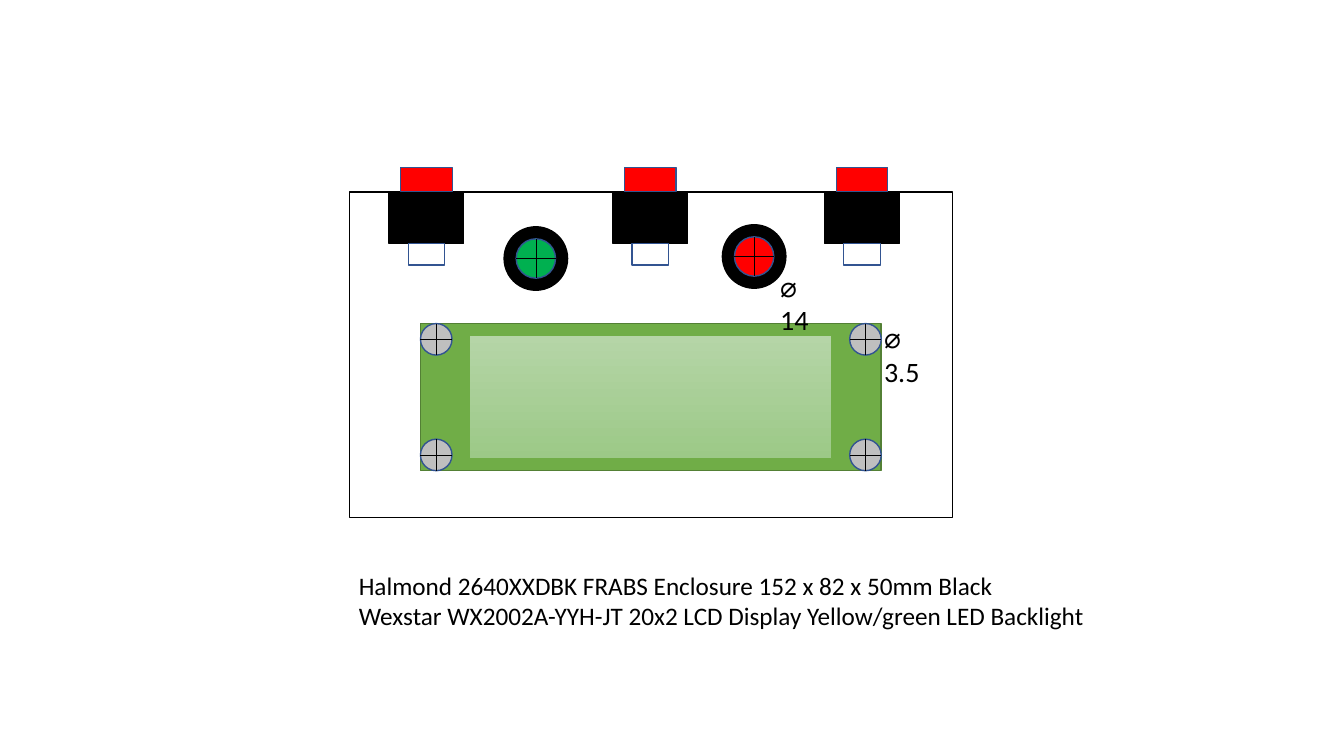
from pptx import Presentation
from pptx.dml.color import RGBColor
from pptx.enum.shapes import MSO_CONNECTOR, MSO_SHAPE
from pptx.oxml.ns import qn
from pptx.util import Inches, Pt
from lxml.etree import SubElement

BLACK = RGBColor(0x00, 0x00, 0x00)
RED = RGBColor(0xFF, 0x00, 0x00)
GREEN = RGBColor(0x00, 0xB0, 0x50)
GREY = RGBColor(0xBF, 0xBF, 0xBF)
OUTLINE = RGBColor(0x32, 0x54, 0x91)
BOARD = RGBColor(0x70, 0xAD, 0x47)
BOARD_EDGE = RGBColor(0x53, 0x80, 0x35)
GLASS_TOP = RGBColor(0xB5, 0xD5, 0xA7)
GLASS_BOTTOM = RGBColor(0x9C, 0xC9, 0x87)
RECT, OVAL = MSO_SHAPE.RECTANGLE, MSO_SHAPE.OVAL

# The slide is a grid of 133.3 columns by 75 rows.
COLS, ROWS = 133.3, 75
CELL = Inches(0.1)
SCREW = 3.13


def grid(*cells):
    return [round(c * CELL) for c in cells]


def add_part(shapes, kind, box, fill=None, line=BLACK, width=1):
    sp = shapes.add_shape(kind, *grid(*box))
    sp.shadow.inherit = False
    if fill is None:
        sp.fill.background()
    else:
        sp.fill.solid()
        sp.fill.fore_color.rgb = fill
    sp.line.color.rgb = line
    sp.line.width = Pt(width)
    return sp


def add_text(shapes, box, *lines, size=18, color=BLACK, font="Calibri"):
    tf = shapes.add_textbox(*grid(*box)).text_frame
    tf.word_wrap = True
    for i, line in enumerate(lines):
        p = tf.paragraphs[0] if i == 0 else tf.add_paragraph()
        r = p.add_run()
        r.text = line
        r.font.size = Pt(size)
        r.font.name = font
        r.font.color.rgb = color


def add_target(shapes, x, y, size, fill):
    """Disc with a crosshair marking a drill centre."""
    add_part(shapes, OVAL, (x, y, size, size), fill, OUTLINE)
    mid_x, mid_y = x + size / 2, y + size / 2
    for ends in ((mid_x, y, mid_x, y + size), (x, mid_y, x + size, mid_y)):
        hair = shapes.add_connector(MSO_CONNECTOR.STRAIGHT, *grid(*ends))
        hair.line.color.rgb = BLACK
        hair.line.width = Pt(0.5)
        SubElement(hair._element.spPr, qn("a:effectLst"))


def add_lamp(s, x, y, size, color):
    shapes = s.shapes.add_group_shape().shapes
    add_part(shapes, OVAL, (x, y, size, size), BLACK)
    inner = size * 0.62
    inset = (size - inner) / 2
    add_target(shapes, x + inset, y + inset, inner, color)


def add_button(s, x, y, w, h):
    """Push button: cap over a black body over a terminal."""
    shapes = s.shapes.add_group_shape().shapes
    cap_h, body_h, foot_h = h * 0.25, h * 0.53, h * 0.22
    for part_y, part_w, part_h, fill, line in (
            (y + cap_h, w, body_h, BLACK, BLACK),
            (y + cap_h + body_h, w * 0.49, foot_h, None, OUTLINE),
            (y, w * 0.69, cap_h, RED, OUTLINE)):
        add_part(shapes, RECT, (x + (w - part_w) / 2, part_y, part_w, part_h), fill, line)


def add_display(s, x, y, w, h):
    """LCD board with its glass and a screw in each corner."""
    shapes = s.shapes.add_group_shape().shapes
    add_part(shapes, RECT, (x, y, w, h), BOARD, BOARD_EDGE)
    glass = add_part(shapes, RECT, (x + 4.9, y + 1.2, w - 9.8, h - 2.4), BOARD, BOARD, 0.5)
    glass.fill.gradient()
    glass.fill.gradient_angle = 270
    for stop, color in zip(glass.fill.gradient_stops, (GLASS_TOP, GLASS_BOTTOM)):
        stop.color.rgb = color
    for screw_x in (x, x + w - SCREW):
        for screw_y in (y, y + h - SCREW):
            add_target(s.shapes.add_group_shape().shapes, screw_x, screw_y, SCREW, GREY)


def add_enclosure(s, x, y, w, h):
    add_part(s.shapes, RECT, (x, y, w, h))
    for dx, dy, color in ((15.35, 3.45, GREEN), (37, 3.25, RED)):
        add_lamp(s, x + dx, y + dy, 6.3, color)
    for dx in (3.95, 26.15, 47.15):
        add_button(s, x + dx, y - 2.45, 7.4, 9.7)
    add_display(s, x + 7.05, y + 13.05, 45.7, 14.6)
    add_text(s.shapes, (x + 52.05, y + 12.25, 7, 7.7), "⌀ 3.5", size=20)
    add_text(s.shapes, (x + 41.75, y + 7.15, 6.3, 7.7), "⌀ 14", size=20)


def main():
    prs = Presentation()
    prs.slide_width, prs.slide_height = grid(COLS, ROWS)
    s = prs.slides.add_slide(prs.slide_layouts[6])
    add_enclosure(s, 34.65, 19.05, 59.8, 32.3)
    add_text(s.shapes, (34.6, 56.1, 74.9, 7.1),
             "Halmond 2640XXDBK FRABS Enclosure 152 x 82 x 50mm Black",
             "Wexstar WX2002A-YYH-JT 20x2 LCD Display Yellow/green LED Backlight")
    prs.save("out.pptx")


if __name__ == "__main__":
    main()
